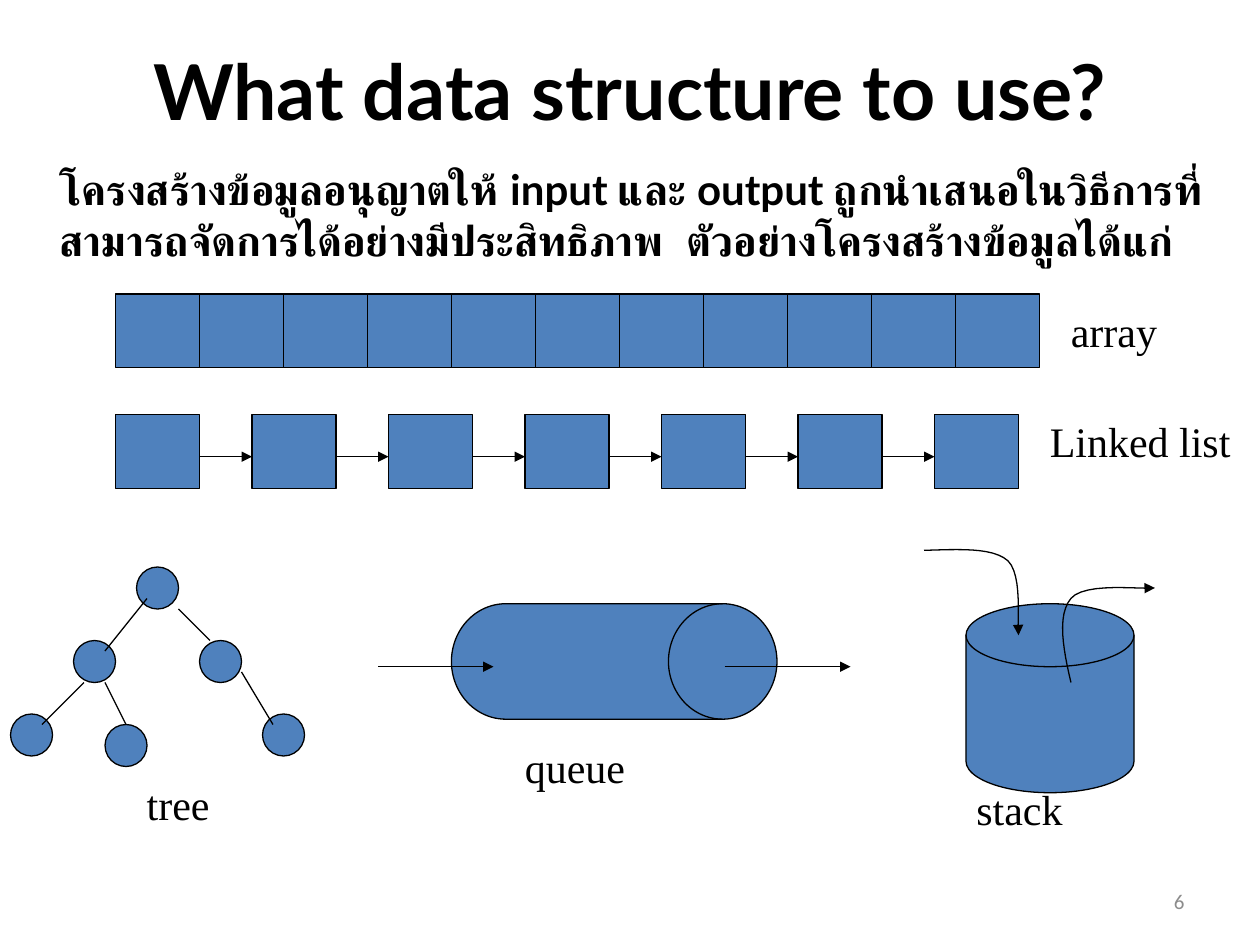
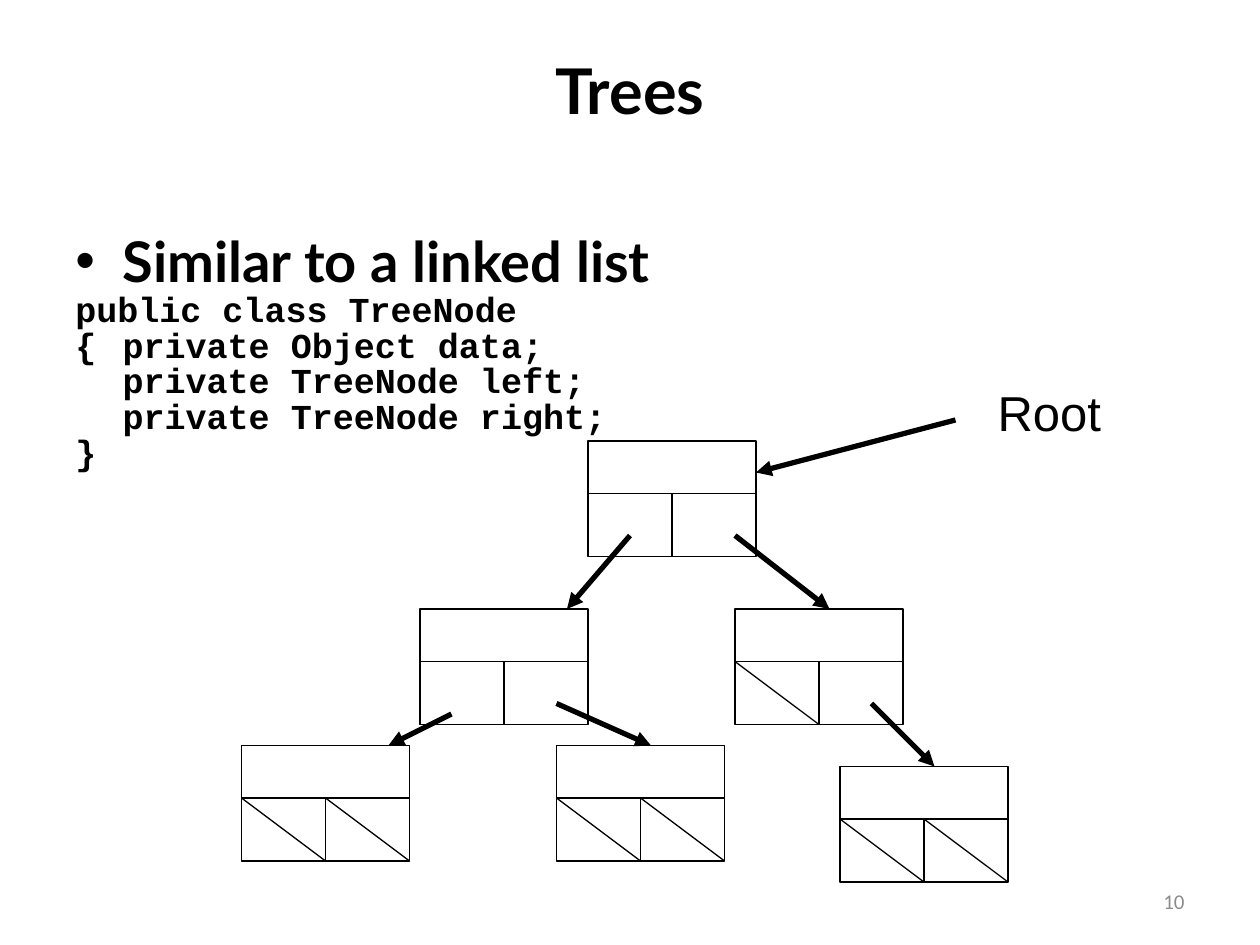
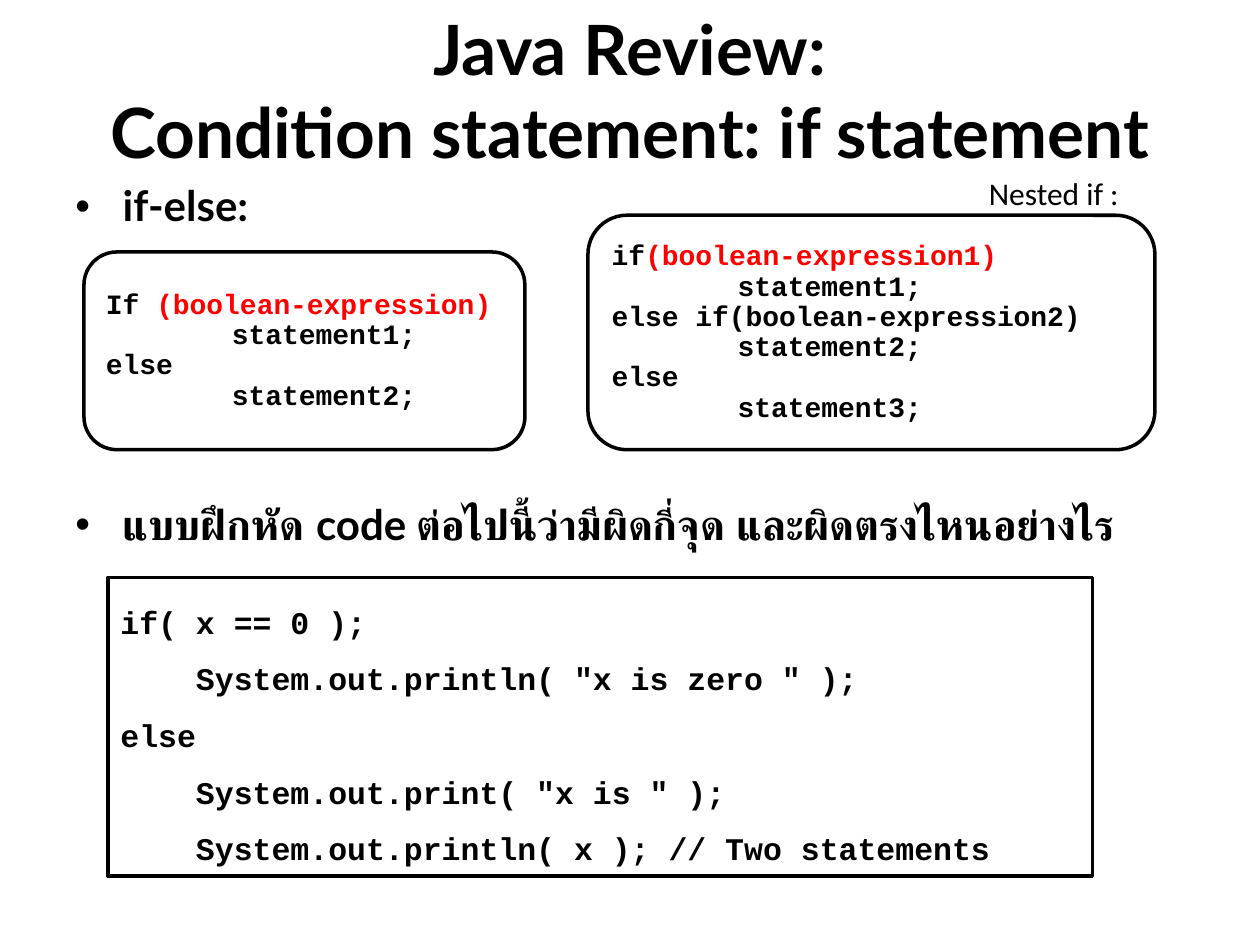
from lxml import etree
from pptx import Presentation
from pptx import util as u
from pptx.dml.color import RGBColor
from pptx.enum import shapes, text
from pptx.oxml import ns

COLORS = {"ink": "000000", "node": "4F81BD", "paper": "FFFFFF", "condition": "FF0000", "number": "8C8C8C"}
HEADING, CODE, LABEL, PLAIN = "Lato", "Courier New", "Times New Roman", "Calibri"
HANG = 27
TAB_SIZE = 72
CELL_WIDTH, CELL_HEIGHT = 48, 42
NODE_WIDTH, NODE_HEIGHT, NODE_DATA = 96, 66, 30
CIRCLE = 24


def rgb(name):
    return RGBColor.from_string(COLORS[name])


def sub(parent, tag, **attributes):
    return etree.SubElement(parent, ns.qn(tag), attributes)


def add_paragraph(box, spans, font, size, bold=False, color="ink", align=None,
                  spacing=None, before=None, margin=0, hang=0, bullet=False):
    frame = box.text_frame
    para = frame.paragraphs[0]
    if para.runs:
        para = frame.add_paragraph()
    properties = para._p.get_or_add_pPr()
    properties.set("defTabSz", str(u.Pt(TAB_SIZE)))
    if margin:
        properties.set("marL", str(u.Pt(margin)))
        properties.set("indent", str(u.Pt(-hang)))
    if bullet:
        sub(properties, "a:buFont", typeface="Arial")
        sub(properties, "a:buChar", char="•")
    para.alignment = align or text.PP_ALIGN.LEFT
    if spacing:
        para.line_spacing = spacing
    if before:
        para.space_before = u.Pt(before)
    for words, tint in [(spans, color)] if isinstance(spans, str) else spans:
        span = para.add_run()
        span.text = words
        span.font.name = font
        span.font.size = u.Pt(size)
        span.font.bold = bold
        span.font.color.rgb = rgb(tint)


def add_box(page, left, top, width, height, wrap=True, anchor=text.MSO_ANCHOR.TOP):
    box = page.shapes.add_textbox(u.Pt(left), u.Pt(top), u.Pt(width), u.Pt(height))
    box.text_frame.word_wrap = wrap
    box.text_frame.vertical_anchor = anchor
    return box


def add_title(page, lines, size):
    box = add_box(page, 36, 6, 648, 90, anchor=text.MSO_ANCHOR.MIDDLE)
    for line in lines:
        add_paragraph(box, line, HEADING, size, True, align=text.PP_ALIGN.CENTER)


def add_number(page, number):
    box = add_box(page, 516, 500.5, 168, 28.75, anchor=text.MSO_ANCHOR.MIDDLE)
    add_paragraph(box, number, PLAIN, 12, color="number", align=text.PP_ALIGN.RIGHT)


def add_label(page, words, left, top, width, height=36, font=LABEL, size=24):
    box = add_box(page, left, top, width, height, wrap=False)
    add_paragraph(box, words, font, size)


def style_outline(shape, weight, fill):
    shape.shadow.inherit = False
    shape.line.color.rgb = rgb("ink")
    shape.line.width = u.Pt(weight)
    if fill:
        shape.fill.solid()
        shape.fill.fore_color.rgb = rgb(fill)
    else:
        shape.fill.background()


def add_outline(page, kind, left, top, width, height, fill="node", weight=0.75):
    shape = page.shapes.add_shape(kind, u.Pt(left), u.Pt(top), u.Pt(width), u.Pt(height))
    style_outline(shape, weight, fill)
    return shape


def add_arrowhead(shape):
    sub(shape.line._get_or_add_ln(), "a:tailEnd", type="triangle")


def add_line(page, start, end, weight=0.75, arrow=False):
    line = page.shapes.add_connector(shapes.MSO_CONNECTOR.STRAIGHT, *map(u.Pt, start + end))
    line.line.color.rgb = rgb("ink")
    line.line.width = u.Pt(weight)
    if arrow:
        add_arrowhead(line)
    sub(line._element.spPr, "a:effectLst")


def bezier(points, t):
    weights = ((1 - t) ** 3, 3 * t * (1 - t) ** 2, 3 * t ** 2 * (1 - t), t ** 3)
    return tuple(u.Pt(sum(w * point[axis] for w, point in zip(weights, points))) for axis in (0, 1))


def add_curved_arrow(page, points, steps=12):
    outline = page.shapes.build_freeform(*map(u.Pt, points[0]))
    outline.add_line_segments(
        [bezier(points[first:first + 4], step / steps)
         for first in range(0, len(points) - 1, 3) for step in range(1, steps + 1)],
        close=False)
    curve = outline.convert_to_shape()
    style_outline(curve, 0.75, None)
    add_arrowhead(curve)


def add_tree_node(page, left, top, empty_links=()):
    add_outline(page, shapes.MSO_SHAPE.RECTANGLE, left, top, NODE_WIDTH, NODE_HEIGHT, None)
    divider, bottom, half = top + NODE_DATA, top + NODE_HEIGHT, NODE_WIDTH / 2
    add_line(page, (left, divider), (left + NODE_WIDTH, divider))
    add_line(page, (left + half, divider), (left + half, bottom))
    for link in empty_links:
        add_line(page, (left + link * half, divider), (left + (link + 1) * half, bottom))


def add_code_card(page, kind, left, top, width, height, lines, size, spacing, anchor):
    card = add_outline(page, kind, left, top, width, height, "paper", 2)
    card.text_frame.word_wrap = True
    card.text_frame.vertical_anchor = anchor
    for line in lines:
        add_paragraph(card, line, CODE, size, True, spacing=spacing)


def build_structures(page):
    kinds = shapes.MSO_SHAPE
    add_title(page, ["What data structure to use?"], 44)
    body = add_box(page, 0, 90, 720, 356)
    add_paragraph(body, "โครงสร้างข้อมูลอนุญาตให้ input และ output ถูกนำเสนอในวิธีการที่สามารถจัดการได้อย่างมีประสิทธิภาพ  "
                  "ตัวอย่างโครงสร้างข้อมูลได้แก่", HEADING, 24, True, margin=HANG)
    for index in range(11):
        add_outline(page, kinds.RECTANGLE, 66 + index * CELL_WIDTH, 168, CELL_WIDTH, CELL_HEIGHT)
    for index in range(7):
        left = 66 + index * 78
        add_outline(page, kinds.RECTANGLE, left, 237, CELL_WIDTH, CELL_HEIGHT)
        if index < 6:
            add_line(page, (left + CELL_WIDTH, 261), (left + 78, 261), arrow=True)
    for left, top in [(78, 324), (42, 366), (6, 408), (114, 366), (150, 408), (60, 414)]:
        add_outline(page, kinds.OVAL, left, top, CIRCLE, CIRCLE)
    for start, end in [((84, 342), (60, 372)), ((48, 390), (24, 414)), ((102, 348), (120, 366)),
                       ((138, 384), (156, 414)), ((60, 390), (72, 414))]:
        add_line(page, start, end)
    add_outline(page, kinds.FLOWCHART_DIRECT_ACCESS_STORAGE, 258, 345, 186, 66)
    add_line(page, (216, 381), (282, 381), arrow=True)
    add_line(page, (414, 381), (486, 381), arrow=True)
    add_outline(page, kinds.FLOWCHART_MAGNETIC_DISK, 552, 345, 96, 108)
    add_curved_arrow(page, [(528, 314.5), (547, 314), (567, 312.5), (576, 320.5),
                            (584.5, 329), (581, 355.5), (582, 363)])
    add_curved_arrow(page, [(612, 390), (607.5, 371), (604, 351.5), (612, 342),
                            (620, 332.5), (652.5, 337), (660, 336)])
    for label in [("array", 604.8, 171, 68), ("Linked list", 592.8, 234, 124), ("tree", 76.8, 441.5, 58),
                  ("queue", 292.8, 420, 76), ("stack", 550.8, 444, 68)]:
        add_label(page, *label)
    add_number(page, "6")


def build_trees(page):
    add_title(page, ["Trees"], 36)
    body = add_box(page, 36, 102, 648, 390)
    body.text_frame.margin_top = u.Pt(27.5)
    add_paragraph(body, "Similar to a linked list", HEADING, 32, True, margin=HANG, hang=HANG, bullet=True)
    for line in ["public class TreeNode", "{\tprivate Object data;", "\tprivate TreeNode left;",
                 "\tprivate TreeNode right;", "}"]:
        add_paragraph(body, line, CODE, 20, True, spacing=0.85, margin=HANG, hang=HANG)
    for node in [(336, 252), (240, 348), (420, 348, (0,)), (138, 426, (0, 1)),
                 (318, 426, (0, 1)), (480, 438, (0, 1))]:
        add_tree_node(page, *node)
    for start, end in [((546, 240), (432, 270)), ((360, 306), (324, 348)), ((420, 306), (474, 348)),
                       ((258, 408), (222, 426)), ((318, 402), (372, 426)), ((498, 402), (534, 438))]:
        add_line(page, start, end, 3, arrow=True)
    add_label(page, "Root", 563, 215.3, 80, 41, "Arial", 28)
    add_number(page, "10")


def build_conditions(page):
    kinds = shapes.MSO_SHAPE
    add_title(page, ["Java Review:", "Condition statement: if statement"], 39.6)
    body = add_box(page, 36, 102.5, 648, 390)
    for words, before in [("if-else:", None),
                          ("แบบฝึกหัด code ต่อไปนี้ว่ามีผิดกี่จุด และผิดตรงไหนอย่างไร", 156)]:
        add_paragraph(body, words, HEADING, 24, True, spacing=0.9, before=before,
                      margin=HANG, hang=HANG, bullet=True)
    middle = text.MSO_ANCHOR.MIDDLE
    add_code_card(page, kinds.ROUNDED_RECTANGLE, 48, 144, 252, 113, [
        [("If ", "ink"), ("(boolean-expression)", "condition")],
        "\tstatement1;", "else", "\tstatement2;"], 16, 0.9, middle)
    add_code_card(page, kinds.ROUNDED_RECTANGLE, 336, 123, 324, 134, [
        [("if", "ink"), ("(boolean-expression1)", "condition")],
        "\tstatement1;", "else if(boolean-expression2)", "\tstatement2;", "else", "\tstatement3;"],
        16, 0.9, middle)
    add_label(page, "Nested if :", 558, 96, 96, 29, PLAIN, 18)
    add_code_card(page, kinds.RECTANGLE, 61.75, 330, 562.5, 170.75, [
        "if( x == 0 );", "    System.out.println( \"x is zero \" );", "else",
        "    System.out.print( \"x is \" );", "    System.out.println( x ); // Two statements"],
        18, 1.5, text.MSO_ANCHOR.TOP)


def main():
    deck = Presentation()
    deck.slide_width, deck.slide_height = u.Pt(720), u.Pt(540)
    for build in (build_structures, build_trees, build_conditions):
        build(deck.slides.add_slide(deck.slide_layouts[6]))
    deck.save("out.pptx")


if __name__ == "__main__":
    main()
